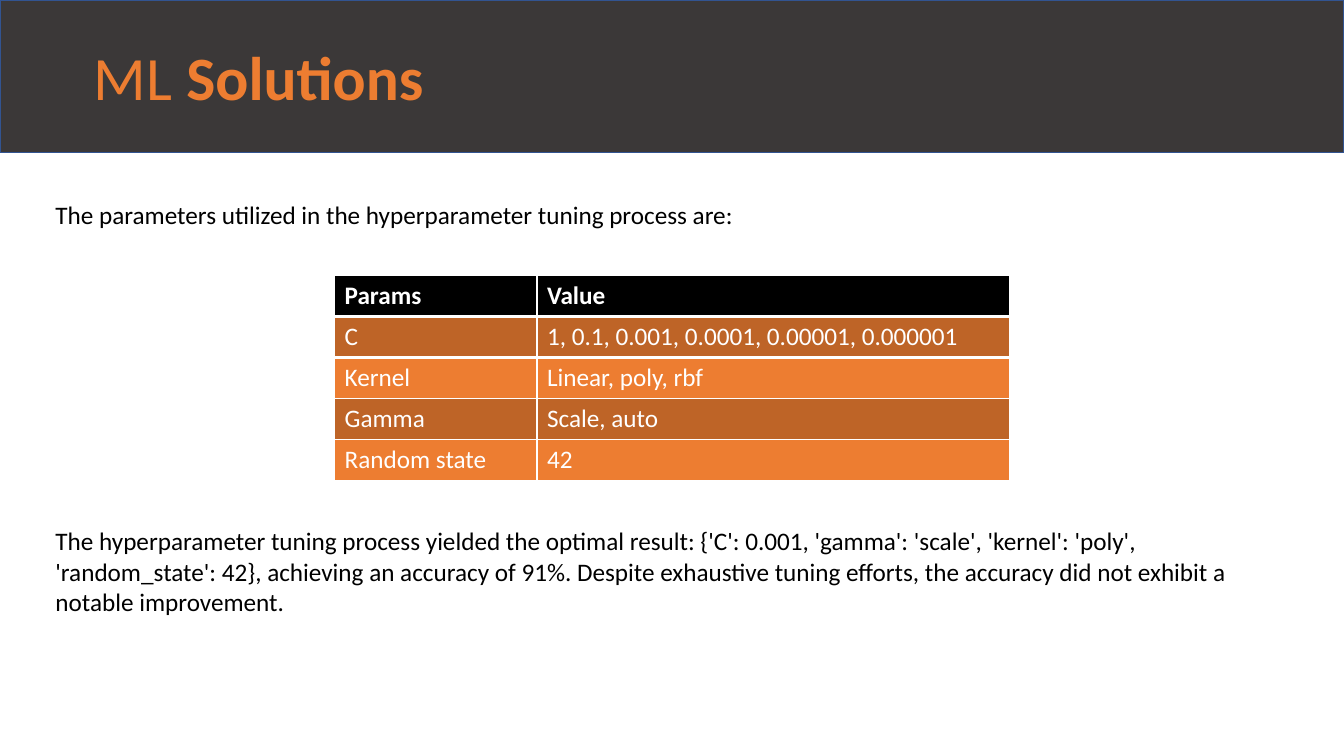
from lxml import etree
from pptx import Presentation
from pptx.dml.color import RGBColor
from pptx.enum.shapes import MSO_SHAPE as SHAPE
from pptx.enum.text import MSO_ANCHOR as ANCHOR, MSO_AUTO_SIZE as AUTO_SIZE, PP_ALIGN as ALIGN
from pptx.oxml.ns import qn
from pptx.util import Pt

CHARCOAL = RGBColor(0x3B, 0x38, 0x38)
BLUE = RGBColor(0x32, 0x54, 0x91)
ORANGE = RGBColor(0xED, 0x7D, 0x31)
DARK_ORANGE = RGBColor(0xBE, 0x64, 0x27)
BLACK = RGBColor(0, 0, 0)
WHITE = RGBColor(0xFF, 0xFF, 0xFF)
FONT = "Calibri"

SLIDE_W, SLIDE_H = 960, 540
PARAMS = [
    ("Params", "Value"),
    ("C", "1, 0.1, 0.001, 0.0001, 0.00001, 0.000001"),
    ("Kernel", "Linear, poly, rbf"),
    ("Gamma", "Scale, auto"),
    ("Random state", "42"),
]
INTRO = "The parameters utilized in the hyperparameter tuning process are:"
RESULT = (
    "The hyperparameter tuning process yielded the optimal result: "
    "{'C': 0.001, 'gamma': 'scale', 'kernel': 'poly', 'random_state': 42}, "
    "achieving an accuracy of 91%. Despite exhaustive tuning efforts, "
    "the accuracy did not exhibit a notable improvement."
)


def add_run(p, text, size, color, bold=False):
    r = p.add_run()
    r.text = text
    r.font.name = FONT
    r.font.size = Pt(size)
    r.font.bold = bold
    r.font.color.rgb = color


def add_title_band(s, left, top, width, height):
    band = s.shapes.add_shape(SHAPE.RECTANGLE, Pt(left), Pt(top), Pt(width), Pt(height))
    band.shadow.inherit = False
    band.fill.solid()
    band.fill.fore_color.rgb = CHARCOAL
    band.line.color.rgb = BLUE
    band.line.width = Pt(1)
    tf = band.text_frame
    tf.margin_left = Pt(67)
    tf.vertical_anchor = ANCHOR.MIDDLE
    p = tf.paragraphs[0]
    p.alignment = ALIGN.LEFT
    add_run(p, "ML ", 44, ORANGE)
    add_run(p, "Solutions", 44, ORANGE, bold=True)


def add_body_text(s, text, left, top, width, height):
    tf = s.shapes.add_textbox(Pt(left), Pt(top), Pt(width), Pt(height)).text_frame
    tf.word_wrap = True
    tf.auto_size = AUTO_SIZE.SHAPE_TO_FIT_TEXT
    add_run(tf.paragraphs[0], text, 18, BLACK)


def add_border(cell, side, color, width):
    """Draw one cell edge; side is a tag such as a:lnB."""
    tc_pr = cell._tc.get_or_add_tcPr()
    ln = etree.Element(qn(side), w=str(Pt(width)))
    fill = etree.SubElement(ln, qn("a:solidFill"))
    etree.SubElement(fill, qn("a:srgbClr"), val=str(color))
    tc_pr.insert(0, ln)  # borders precede the fill


def add_params_table(s, left, top, width, height):
    table = s.shapes.add_table(
        len(PARAMS), 2, Pt(left), Pt(top), Pt(width), Pt(height)).table
    table.columns[0].width = Pt(width * 0.3)
    table.columns[1].width = Pt(width * 0.7)
    for i, row in enumerate(PARAMS):
        header = i == 0
        fill = BLACK if header else DARK_ORANGE if i % 2 else ORANGE
        for j, text in enumerate(row):
            cell = table.cell(i, j)
            cell.fill.solid()
            cell.fill.fore_color.rgb = fill
            add_run(cell.text_frame.paragraphs[0], text, 18, WHITE, bold=header)
            if header:
                add_border(cell, "a:lnB", WHITE, 2)
            elif i == 1:
                add_border(cell, "a:lnT", WHITE, 2)


def add_tuning_slide(prs):
    s = prs.slides.add_slide(prs.slide_layouts[6])
    margin, table_w = 32.5, 482
    text_w = SLIDE_W - 2 * margin
    add_title_band(s, 0, 0, SLIDE_W, 109)
    add_body_text(s, INTRO, margin, 138.5, text_w, 29)
    add_params_table(s, (SLIDE_W - table_w) / 2, 197, table_w, 146)
    add_body_text(s, RESULT, margin, 372, text_w, 73)


def main():
    prs = Presentation()
    prs.slide_width, prs.slide_height = Pt(SLIDE_W), Pt(SLIDE_H)
    add_tuning_slide(prs)
    prs.save("out.pptx")


if __name__ == "__main__":
    main()
